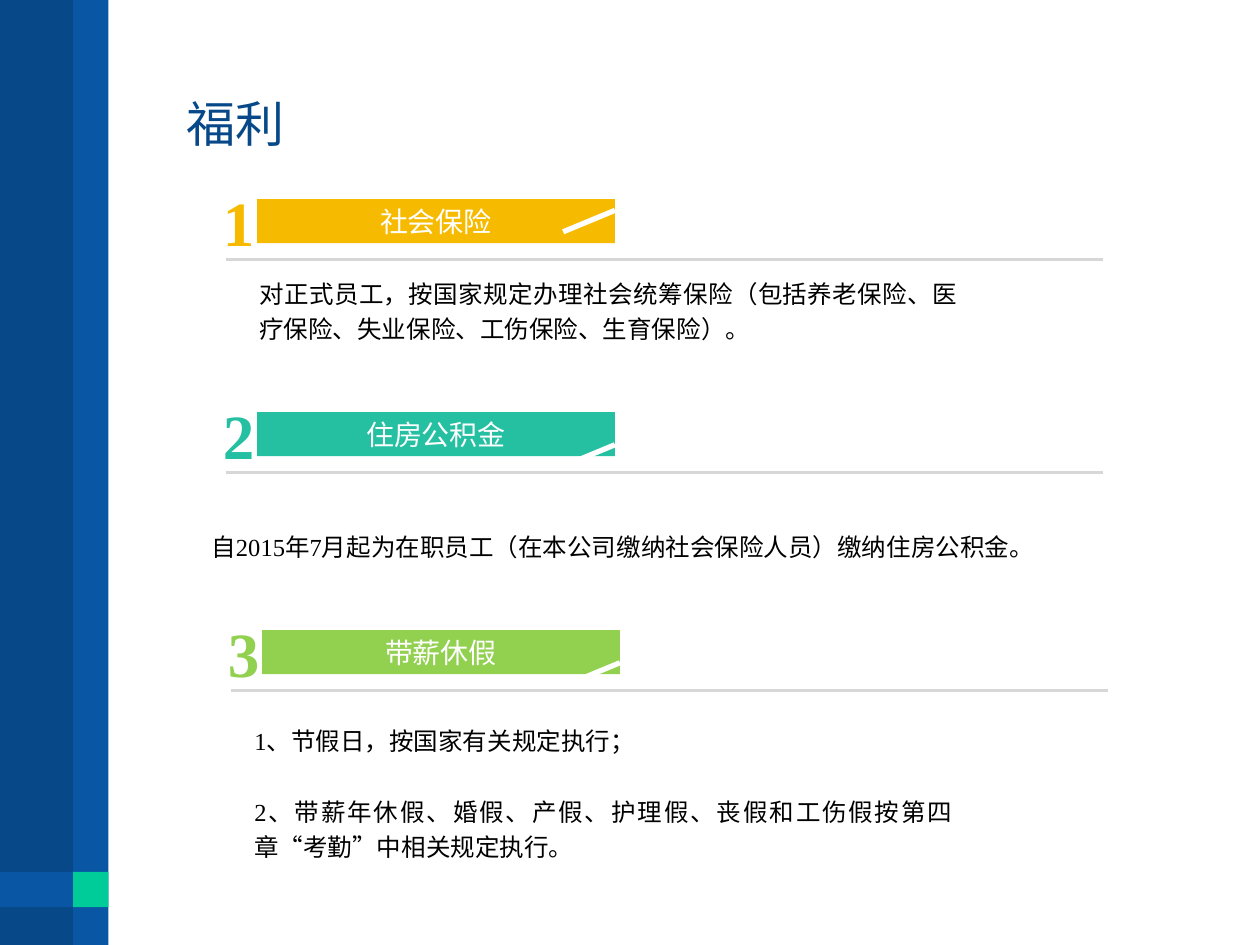
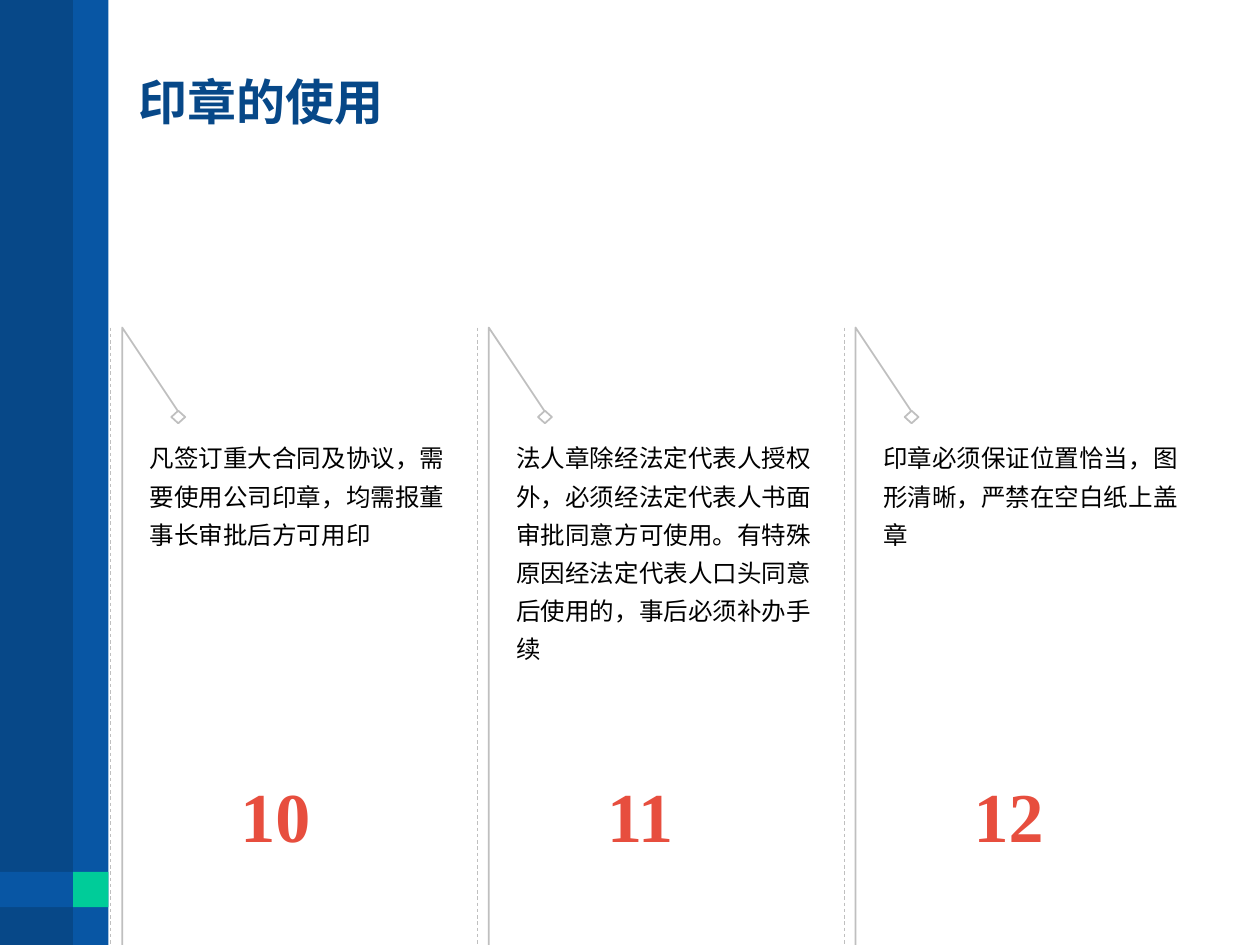
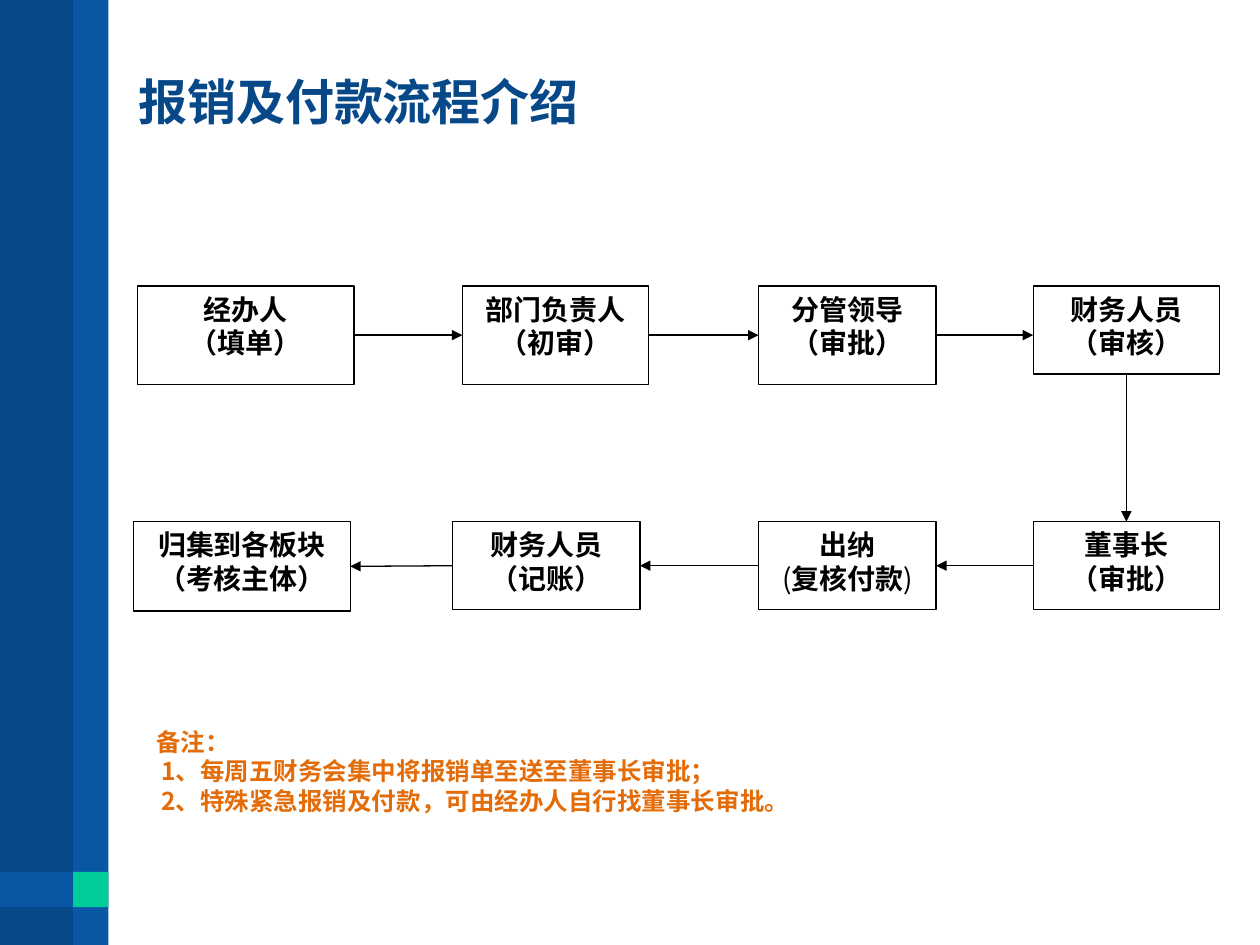
"""Build three staff handbook slides: benefits, seals and payment flow."""
from pptx import Presentation, util as u
from pptx.dml.color import RGBColor
from pptx.enum import dml, shapes, text
from pptx.oxml.ns import qn
from lxml import etree

HUES = {
    "navy": "074888", "blue": "0856A4", "mint": "00CC99", "gold": "F6BB00",
    "teal": "25BFA2", "lime": "92D050", "rule": "D7D7D7", "gray": "BFBFBF",
    "red": "E74E3E", "rust": "E36C09", "white": "FFFFFF", "black": "000000",
}
SERIF, SANS, CJK, BODY = "Times New Roman", "Arial", "Noto Sans CJK SC", "Calibri"
ALIGN = {"left": text.PP_ALIGN.LEFT, "mid": text.PP_ALIGN.CENTER,
         "just": text.PP_ALIGN.JUSTIFY}


def rgb(name):
    """Return the named colour."""
    return RGBColor.from_string(HUES[name])


def write(shape, paras, size=14, font=SERIF, hue="black", bold=False, align="left",
          lead=None, gap=0, dent=0, mid=False, wrap=True, pad=True):
    """Fill a shape with paragraphs, each a string or a list of (text, bold)."""
    frame = shape.text_frame
    frame.word_wrap = wrap
    frame.vertical_anchor = text.MSO_ANCHOR.MIDDLE if mid else text.MSO_ANCHOR.TOP
    frame.margin_left = frame.margin_right = u.Inches(0.1 if pad else 0)
    frame.margin_top = frame.margin_bottom = u.Inches(0.05 if pad else 0)
    for i, runs in enumerate([paras] if isinstance(paras, str) else paras):
        para = frame.add_paragraph() if i else frame.paragraphs[0]
        para.alignment = ALIGN[align]
        if lead:
            para.line_spacing = lead
        if i and gap:
            para.space_before = u.Pt(gap)
        if i and dent:
            para._p.get_or_add_pPr().set("marL", str(u.Inches(dent)))
        for words, heavy in [(runs, bold)] if isinstance(runs, str) else runs:
            run = para.add_run()
            run.text = words
            run.font.size, run.font.bold, run.font.name = u.Pt(size), heavy, font
            run.font.color.rgb = rgb(hue)
            etree.SubElement(run._r.rPr, qn("a:ea"), typeface=CJK)


class Deck:
    """Hold the house style and the current slide."""

    def __init__(self):
        """Start an empty deck."""
        self.prs = Presentation()
        self.prs.slide_width, self.prs.slide_height = u.Inches(10), u.Inches(7.5)

    def page(self, title, x=1, y=0.09, high=1.45, font=SANS, bold=True):
        """Add a slide with the side bands and a title."""
        self.slide = self.prs.slides.add_slide(self.prs.slide_layouts[6])
        self.box(0, 0, 0.83, 7.5, "navy")
        self.box(0.58, 0, 0.28, 7.5, "blue")
        self.box(0, 6.92, 0.83, 0.28, "blue")
        self.box(0.58, 6.92, 0.28, 0.28, "mint")
        self.label(title, x, y, 8.6, high, size=28, font=font, hue="navy",
                   bold=bold, lead=u.Pt(32), mid=True)

    def style(self, shape, fill=None, edge=None, width=1):
        """Set fill and outline, and drop the shadow."""
        shape.shadow.inherit = False
        if fill:
            shape.fill.solid()
            shape.fill.fore_color.rgb = rgb(fill)
        else:
            shape.fill.background()
        if edge:
            shape.line.color.rgb = rgb(edge)
            shape.line.width = u.Pt(width)
        else:
            shape.line.fill.background()
        return shape

    def box(self, x, y, wide, high, fill=None, edge=None, width=1,
            kind=shapes.MSO_SHAPE.RECTANGLE):
        """Add a preset shape."""
        shape = self.slide.shapes.add_shape(kind, *map(u.Inches, (x, y, wide, high)))
        return self.style(shape, fill, edge, width)

    def label(self, words, x, y, wide, high, **form):
        """Add a text box."""
        write(self.slide.shapes.add_textbox(*map(u.Inches, (x, y, wide, high))),
              words, **form)

    def path_line(self, points, edge):
        """Add an open outline through the points."""
        spots = [(u.Inches(x), u.Inches(y)) for x, y in points]
        pen = self.slide.shapes.build_freeform(*spots[0])
        pen.add_line_segments(spots[1:], close=False)
        self.style(pen.convert_to_shape(), edge=edge)

    def line(self, x1, y1, x2, y2, hue, width, dash=False, head=False):
        """Add a straight line, dashed or with an arrowhead if asked."""
        link = self.slide.shapes.add_connector(
            shapes.MSO_CONNECTOR.STRAIGHT, *map(u.Inches, (x1, y1, x2, y2)))
        link.line.color.rgb = rgb(hue)
        link.line.width = u.Pt(width)
        if dash:
            link.line.dash_style = dml.MSO_LINE.DASH
        if head:
            etree.SubElement(link.line._get_or_add_ln(), qn("a:tailEnd"), type="triangle")
        etree.SubElement(link._element.spPr, qn("a:effectLst"))
        return link


def perks(deck):
    """Build the benefits slide."""
    deck.page("福利", x=1.38, y=0.36, high=1.25, font=CJK, bold=False)
    parts = [("社会保险", "gold", 2.04, 1.58, 0.09),
             ("住房公积金", "teal", 2.04, 3.27, 0.26),
             ("带薪休假", "lime", 2.08, 5, 0.26)]
    for num, (name, hue, x, y, drop) in enumerate(parts, 1):
        deck.label(str(num), x - 0.37, y - 0.17, 0.45, 0.7, size=36, hue=hue,
                   bold=True, wrap=False)
        write(deck.box(x, y, 2.84, 0.35, hue), name, size=16, hue="white",
              align="mid", mid=True, pad=False)
        deck.line(x + 2.84, y + drop, x + 2.43, y + drop + 0.17, "white", 3)
        deck.line(x - 0.25, y + 0.48, x + 6.71, y + 0.48, "rule", 1.5)
    deck.label("对正式员工，按国家规定办理社会统筹保险（包括养老保险、医疗保险、失业保险、"
               "工伤保险、生育保险）。", 1.96, 2.12, 5.74, 0.66, align="just", lead=1.2)
    deck.label("自2015年7月起为在职员工（在本公司缴纳社会保险人员）缴纳住房公积金。",
               1.58, 4.17, 7.17, 0.34, mid=True)
    deck.label(["1、节假日，按国家有关规定执行；",
                "2、带薪年休假、婚假、产假、护理假、丧假和工伤假按第四章“考勤”中相关规定执行。"],
               1.92, 5.67, 5.74, 1.22, align="just", lead=1.2, gap=20)


def seals(deck):
    """Build the slide on the use of seals."""
    deck.page("印章的使用")
    rules = ["凡签订重大合同及协议，需要使用公司印章，均需报董事长审批后方可用印",
             "法人章除经法定代表人授权外，必须经法定代表人书面审批同意方可使用。"
             "有特殊原因经法定代表人口头同意后使用的，事后必须补办手续",
             "印章必须保证位置恰当，图形清晰，严禁在空白纸上盖章"]
    for i, rule in enumerate(rules):
        x, top = 0.97 + 2.91 * i, 2.6
        deck.path_line([(x, 7.5), (x, top), (x + 0.44, 3.26)], "gray")
        deck.line(x - 0.09, top, x - 0.09, 7.5, "gray", 0.5, dash=True)
        deck.box(x + 0.39, 3.26, 0.11, 0.1, edge="gray", kind=shapes.MSO_SHAPE.DIAMOND)
        deck.label(str(10 + i), x + 0.84, 5.88, 0.93, 0.97, size=40, hue="red",
                   bold=True, lead=1.3)
        deck.label(rule, x + 0.12, 3.4, 2.58, 1.92, font=CJK, lead=1.3)


def flow(deck):
    """Build the payment flow slide."""
    deck.page("报销及付款流程介绍")
    up, low = 2.27, 4.14
    steps = [(["经办人", "（填单）"], 1.09, up, 1.72, 0.78),
             (["部门负责人", "（初审）"], 3.67, up, 1.48, 0.78),
             (["分管领导", "（审批）"], 6.02, up, 1.41, 0.78),
             (["财务人员", "（审核）"], 8.2, up, 1.48, 0.7),
             (["董事长", "（审批）"], 8.2, low, 1.48, 0.7),
             (["出纳", [("(", False), ("复核付款", True), (")", False)]],
              6.02, low, 1.41, 0.7),
             (["财务人员", "（记账）"], 3.59, low, 1.49, 0.7),
             (["归集到各板块（考核主体）"], 1.06, low, 1.72, 0.71)]
    nodes = []
    for words, *area in steps:
        node = deck.box(*area, "white", "black", 0.75)
        write(node, words, size=16, font=CJK if words[0] == "出纳" else BODY,
              bold=True, align="mid")
        nodes.append(node)
    sides = [(3, 1)] * 3 + [(2, 0)] + [(1, 3)] * 3
    for i, (out, into) in enumerate(sides):
        link = deck.line(7.43, 2.66, 8.2, 2.66, "black", 0.75, head=True)
        link.begin_connect(nodes[i], out)
        if i != 2:
            link.end_connect(nodes[i + 1], into)
    deck.label(["备注：", "1、每周五财务会集中将报销单至送至董事长审批；",
                "2、特殊紧急报销及付款，可由经办人自行找董事长审批。"],
               1.14, 5.72, 6.46, 0.8, font=CJK, hue="rust", bold=True, dent=0.04)


def main():
    """Build and save the deck."""
    deck = Deck()
    for build in (perks, seals, flow):
        build(deck)
    deck.prs.save("out.pptx")


if __name__ == "__main__":
    main()
